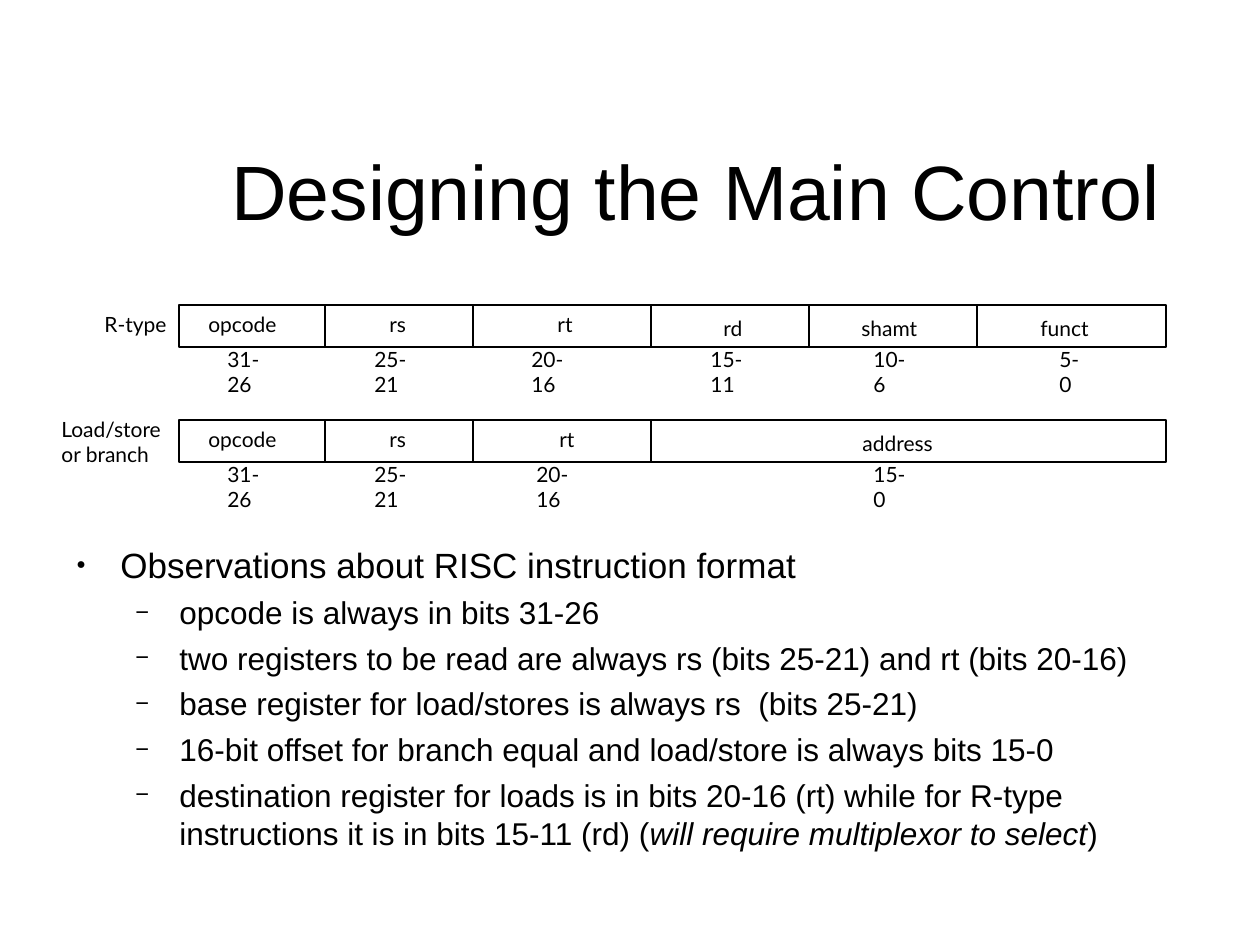
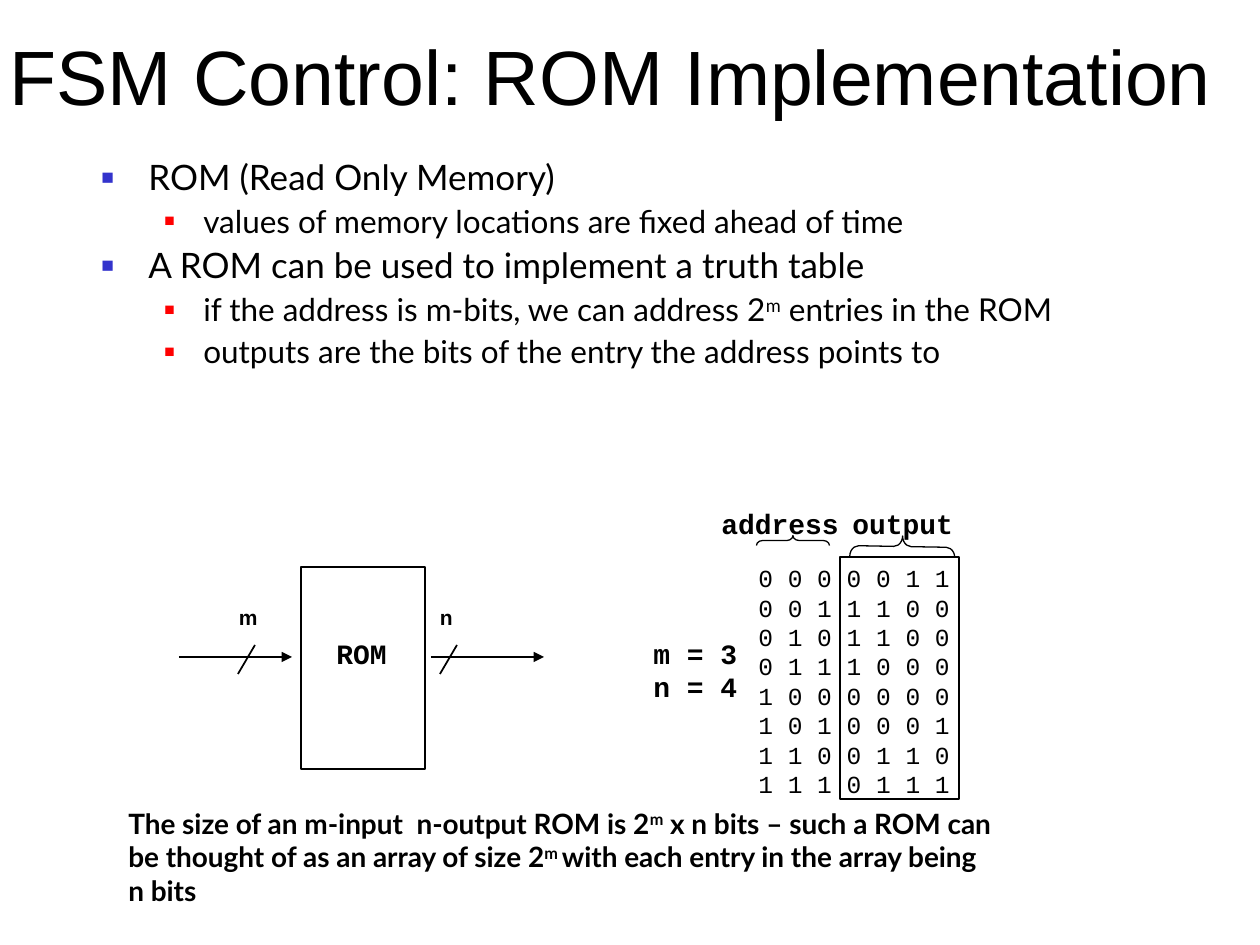
from dataclasses import dataclass

from lxml.etree import SubElement
from pptx import Presentation
from pptx.dml.color import RGBColor
from pptx.enum.shapes import MSO_CONNECTOR, MSO_SHAPE
from pptx.enum.text import MSO_ANCHOR, PP_ALIGN
from pptx.oxml.ns import qn
from pptx.util import Emu, Pt

EMU_PER_PX = 914400 / 126


@dataclass(frozen=True)
class Theme:
    ink: str = "000000"
    paper: str = "FFFFFF"
    blue: str = "3333CC"
    red: str = "FF0000"
    sans: str = "Arial"
    humanist: str = "Lato"
    mono: str = "Courier New"
    title: int = 44
    body: int = 20
    detail: int = 18
    label: int = 16
    code: int = 14
    small: int = 12
    thin: float = 0.75
    line: float = 1


@dataclass(frozen=True)
class Box:
    left: int
    top: int
    width: int
    height: int

    def inner(self, left, top, width, height):
        return Box(self.left + left, self.top + top, width, height)

    def emu(self):
        return [px(value) for value in (self.left, self.top, self.width, self.height)]


@dataclass(frozen=True)
class Bullet:
    symbol: str
    color: str
    percent: int
    margin: int
    hanging: int
    size: int
    before: float


THEME = Theme()
DOT = Bullet("●", THEME.ink, 45, 59, 44, THEME.body, 5)
DASH = Bullet("−", THEME.ink, 75, 118, 44, THEME.detail, 4.5)
BLUE_SQUARE = Bullet("■", THEME.blue, 60, 47, 47, THEME.body, 5)
RED_SQUARE = Bullet("■", THEME.red, 55, 102, 39, THEME.detail, 4.5)


def px(value):
    return Emu(round(value * EMU_PER_PX))


def color(value):
    return RGBColor.from_string(value)


def add_runs(paragraph, content):
    parts = [(content, None)] if isinstance(content, str) else content
    for text, style in parts:
        run = paragraph.add_run()
        run.text = text
        if style == "italic":
            run.font.italic = True
        elif style == "super":
            run._r.get_or_add_rPr().set("baseline", "30000")


def set_font(paragraph, name, size, bold=False):
    font = paragraph.font
    font.name, font.size, font.bold = name, Pt(size), bold
    font.color.rgb = color(THEME.ink)


def add_frame(slide, box, anchor=MSO_ANCHOR.TOP):
    frame = slide.shapes.add_textbox(*box.emu()).text_frame
    frame.word_wrap = True
    frame.vertical_anchor = anchor
    return frame


def add_paragraphs(frame, lines):
    for index, content in enumerate(lines):
        paragraph = frame.add_paragraph() if index else frame.paragraphs[0]
        add_runs(paragraph, content)
        yield index, paragraph


def add_text(slide, box, lines, name, size, bold=False, spacing=None):
    frame = add_frame(slide, box)
    for _, paragraph in add_paragraphs(frame, lines):
        paragraph.line_spacing = spacing
        set_font(paragraph, name, size, bold)
    return frame


def add_title(slide, box, text, anchor, alignment):
    frame = add_frame(slide, box, anchor)
    paragraph = frame.paragraphs[0]
    add_runs(paragraph, text)
    paragraph.alignment = alignment
    set_font(paragraph, THEME.sans, THEME.title)


def add_bullet(paragraph, bullet):
    properties = paragraph._p.get_or_add_pPr()
    properties.set("marL", str(px(bullet.margin)))
    properties.set("indent", str(-px(bullet.hanging)))
    bullet_color = SubElement(properties, qn("a:buClr"))
    SubElement(bullet_color, qn("a:srgbClr"), val=bullet.color)
    SubElement(properties, qn("a:buSzPct"), val=str(bullet.percent * 1000))
    SubElement(properties, qn("a:buFont"), typeface=THEME.sans)
    SubElement(properties, qn("a:buChar"), char=bullet.symbol)


def add_bullets(slide, box, items, name, spacing=None):
    frame = add_frame(slide, box)
    bullets = [bullet for bullet, _ in items]
    for index, paragraph in add_paragraphs(frame, [content for _, content in items]):
        bullet = bullets[index]
        add_bullet(paragraph, bullet)
        paragraph.line_spacing = spacing
        if index:
            paragraph.space_before = Pt(bullet.before)
        set_font(paragraph, name, bullet.size)


def add_outline(slide, kind, box, width, fill=None):
    shape = slide.shapes.add_shape(kind, *box.emu())
    shape.shadow.inherit = False
    if fill:
        shape.fill.solid()
        shape.fill.fore_color.rgb = color(fill)
    else:
        shape.fill.background()
    shape.line.color.rgb = color(THEME.ink)
    shape.line.width = Pt(width)
    return shape


def add_line(slide, start, end, width, arrow=False):
    points = [px(value) for value in (*start, *end)]
    connector = slide.shapes.add_connector(MSO_CONNECTOR.STRAIGHT, *points)
    connector.line.color.rgb = color(THEME.ink)
    connector.line.width = Pt(width)
    if arrow:
        SubElement(connector.line._get_or_add_ln(), qn("a:tailEnd"), type="triangle")
    SubElement(connector._element.spPr, qn("a:effectLst"))


def add_brace(slide, box, rotation):
    brace = add_outline(slide, MSO_SHAPE.RIGHT_BRACE, box, THEME.thin)
    brace.adjustments[0] = 0.0833 * box.height / box.width
    brace.rotation = rotation


def add_instruction(slide, box, fields):
    add_outline(slide, MSO_SHAPE.RECTANGLE, box, THEME.thin)
    for index, (name, start, name_box, bits, bits_left) in enumerate(fields):
        if index:
            left = box.left + start
            add_line(slide, (left, box.top), (left, box.top + box.height), THEME.thin)
        name_left, name_width = name_box
        name_top = 0 if index < 3 else 4
        add_text(slide, box.inner(name_left, name_top, name_width, 38), [name],
                 THEME.humanist, THEME.small)
        bits_width = 25 + 12 * (bits.index("-") + 1)
        add_text(slide, box.inner(bits_left, 35, bits_width, 63), [bits],
                 THEME.humanist, THEME.small)


def add_rom_block(slide, box):
    add_outline(slide, MSO_SHAPE.RECTANGLE, box.inner(122, 0, 124, 202), THEME.line, THEME.paper)
    add_text(slide, box.inner(145, 63, 84, 47), ["ROM"], THEME.mono, THEME.label, True)
    for name, wire, slash, label in (("m", 0, 59, 57), ("n", 252, 261, 258)):
        wire_left, slash_left = box.left + wire, box.left + slash
        add_line(slide, (wire_left, box.top + 90), (wire_left + 113, box.top + 90),
                 THEME.line, True)
        add_line(slide, (slash_left + 17, box.top + 78), (slash_left, box.top + 107), THEME.line)
        frame = add_text(slide, box.inner(label, 35, 72, 40), [name],
                         THEME.sans, THEME.small, True, Pt(13.8))
        frame.margin_left = frame.margin_right = px(3)
        frame.margin_top = frame.margin_bottom = px(4)


def add_truth_table(slide, box, outputs):
    rows = [" ".join(f"{address:03b}{output}") for address, output in enumerate(outputs)]
    add_text(slide, box.inner(105, 57, 222, 247), rows,
             THEME.mono, THEME.code, spacing=Pt(1.2 * THEME.code))
    add_outline(slide, MSO_SHAPE.RECTANGLE, box.inner(199, 57, 119, 242), THEME.line)
    add_text(slide, box.inner(0, 130, 116, 80), ["m = 3", "n = 4"],
             THEME.mono, THEME.label, True, Pt(1.2 * THEME.label))
    add_brace(slide, box.inner(251, -6, 21, 105), 271)
    add_brace(slide, box.inner(147, 4, 10, 73), 270)
    for heading, left in (("address", 68), ("output", 199)):
        add_text(slide, box.inner(left, 0, 156, 47), [heading], THEME.mono, THEME.label, True)


def build_main_control(slide):
    add_title(slide, Box(159, 84, 1074, 158), "Designing the Main Control",
              MSO_ANCHOR.BOTTOM, PP_ALIGN.CENTER)
    add_bullets(slide, Box(49, 537, 1184, 348), [
        (DOT, "Observations about RISC instruction format"),
        (DASH, "opcode is always in bits 31-26"),
        (DASH, "two registers to be read are always rs (bits 25-21) and rt (bits 20-16)"),
        (DASH, "base register for load/stores is always rs  (bits 25-21)"),
        (DASH, "16-bit offset for branch equal and load/store is always bits 15-0"),
        (DASH, [("destination register for loads is in bits 20-16 (rt) while for R-type "
                 "instructions it is in bits 15-11 (rd) (", None),
                ("will require multiplexor to select", "italic"), (")", None)]),
    ], THEME.sans)
    shared_fields = [
        ("opcode", 0, (17, 100), "31-26", 36),
        ("rs", 146, (198, 48), "25-21", 183),
    ]
    register_fields = shared_fields + [
        ("rt", 294, (366, 48), "20-16", 340),
        ("rd", 472, (532, 50), "15-11", 519),
        ("shamt", 630, (670, 90), "10-6", 682),
        ("funct", 798, (849, 80), "5-0", 868),
    ]
    address_fields = shared_fields + [
        ("rt", 294, (368, 48), "20-16", 345),
        ("address", 472, (671, 122), "15-0", 682),
    ]
    add_instruction(slide, Box(179, 305, 987, 42), register_fields)
    add_instruction(slide, Box(179, 420, 987, 42), address_fields)
    add_text(slide, Box(92, 305, 94, 38), ["R-type"], THEME.humanist, THEME.small)
    add_text(slide, Box(49, 410, 137, 63), ["Load/store", "or branch"],
             THEME.humanist, THEME.small)


def build_rom(slide):
    add_bullets(slide, Box(89, 154, 1124, 670), [
        (BLUE_SQUARE, "ROM (Read Only Memory)"),
        (RED_SQUARE, "values of memory locations are fixed ahead of time"),
        (BLUE_SQUARE, "A ROM can be used to implement a truth table"),
        (RED_SQUARE, [("if the address is m-bits, we can address 2", None),
                      ("m", "super"), (" entries in the ROM", None)]),
        (RED_SQUARE, "outputs are the bits of the entry the address points to"),
    ], THEME.humanist, 0.9)
    add_title(slide, Box(-3, -4, 1232, 158), "FSM Control: ROM Implementation",
              MSO_ANCHOR.MIDDLE, PP_ALIGN.LEFT)
    add_rom_block(slide, Box(179, 567, 364, 202))
    add_truth_table(slide, Box(641, 500, 327, 304), [
        "0011", "1100", "1100", "1000", "0000", "0001", "0110", "0111",
    ])
    add_text(slide, Box(116, 800, 993, 113), [
        [("The size of an m-input  n-output ROM is 2", None), ("m", "super"),
         (" x n bits – such a ROM can", None)],
        [("be thought of as an array of size 2", None), ("m ", "super"),
         ("with each entry in the array being", None)],
        "n bits",
    ], THEME.humanist, THEME.label, True)


def main():
    presentation = Presentation()
    presentation.slide_width, presentation.slide_height = px(1260), px(945)
    for build in (build_main_control, build_rom):
        build(presentation.slides.add_slide(presentation.slide_layouts[6]))
    presentation.save("out.pptx")


if __name__ == "__main__":
    main()
